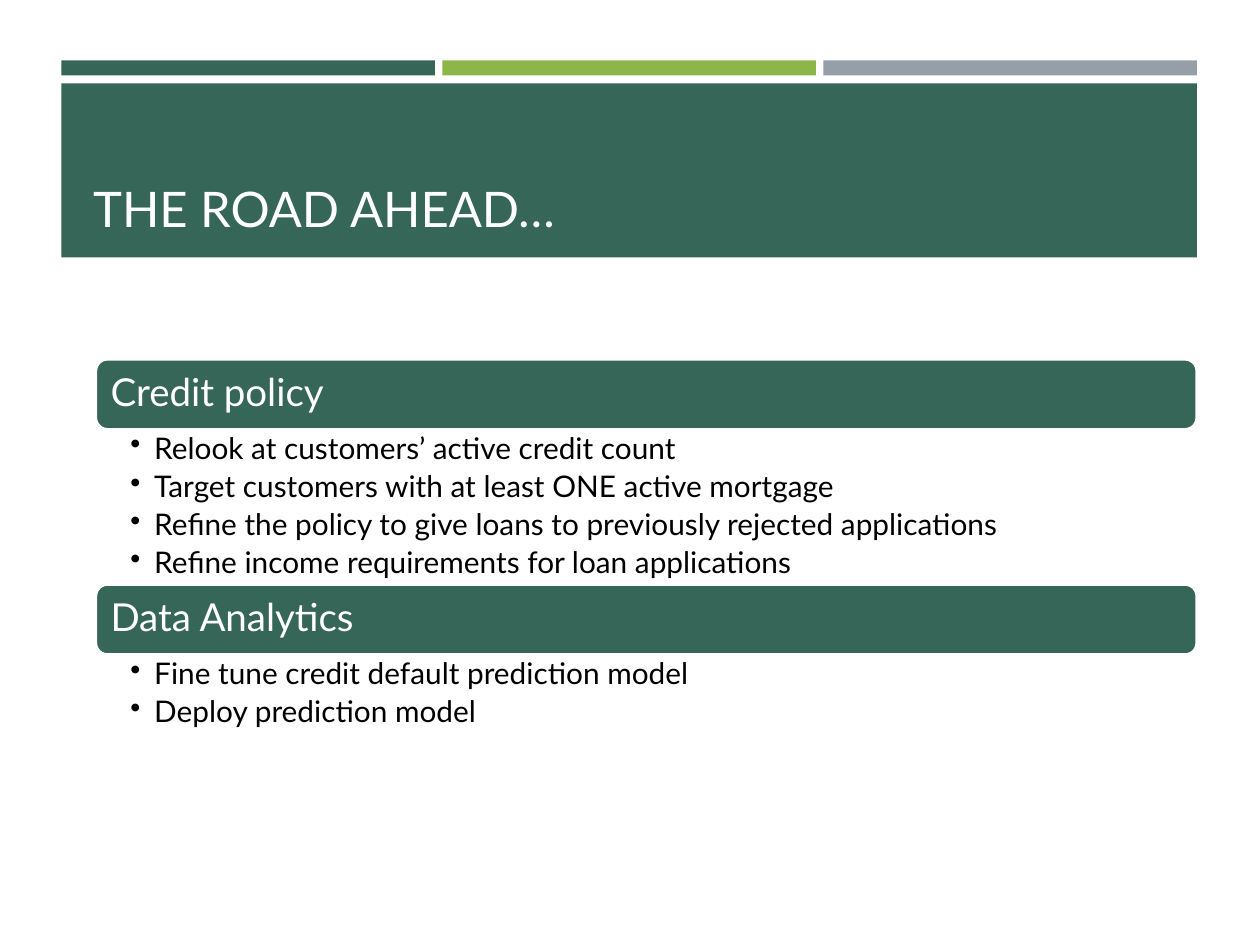
import pptx
import pptx.util
import pptx.dml.color
import pptx.enum.shapes
import pptx.enum.text
import pptx.oxml.ns
from lxml import etree
from pptx.util import Cm

GREEN = pptx.dml.color.RGBColor(0x36, 0x66, 0x58)
LIME = pptx.dml.color.RGBColor(0x8C, 0xB6, 0x4A)
GREY = pptx.dml.color.RGBColor(0x96, 0x9F, 0xA7)
WHITE = pptx.dml.color.RGBColor(0xFF, 0xFF, 0xFF)
BLACK = pptx.dml.color.RGBColor(0, 0, 0)
FONT = "Lato"
LEFT, BAR_WIDTH, BAR_PITCH = 1.24, 7.53, 7.68
SECTION_LEFT, SECTION_WIDTH, HEADING_HEIGHT = 1.93, 22.2, 1.42
SECTIONS = [
    (7.24, 3.1, "Credit policy", [
        "Relook at customers’ active credit count",
        "Target customers with at least ONE active mortgage",
        "Refine the policy to give loans to previously rejected applications",
        "Refine income requirements for loan applications",
    ]),
    (11.78, 1.55, "Data Analytics", [
        "Fine tune credit default prediction model",
        "Deploy prediction model",
    ]),
]


def add_block(slide, kind, left, top, width, height, color):
    shape = slide.shapes.add_shape(kind, Cm(left), Cm(top), Cm(width), Cm(height))
    shape.shadow.inherit = False
    shape.fill.solid()
    shape.fill.fore_color.rgb = color
    shape.line.fill.background()
    return shape


def set_frame(text_frame, anchor, left, top, right, bottom):
    text_frame.word_wrap = True
    text_frame.vertical_anchor = anchor
    text_frame.margin_left, text_frame.margin_top = Cm(left), Cm(top)
    text_frame.margin_right, text_frame.margin_bottom = Cm(right), Cm(bottom)


def format_paragraph(paragraph, size, color, line_spacing=0.9):
    paragraph.alignment = pptx.enum.text.PP_ALIGN.LEFT
    paragraph.line_spacing = line_spacing
    for run in paragraph.runs:
        run.font.name = FONT
        run.font.size = pptx.util.Pt(size)
        run.font.color.rgb = color


def add_bullet(paragraph):
    properties = paragraph._p.get_or_add_pPr()
    properties.set("marL", str(Cm(0.48)))
    properties.set("indent", str(-Cm(0.48)))
    bullet = etree.SubElement(properties, pptx.oxml.ns.qn("a:buChar"))
    bullet.set("char", "•")


def add_banner(slide):
    rectangle = pptx.enum.shapes.MSO_SHAPE.RECTANGLE
    for index, color in enumerate((GREEN, LIME, GREY)):
        add_block(slide, rectangle, LEFT + index * BAR_PITCH, 1.22, BAR_WIDTH, 0.3, color)
    add_block(slide, rectangle, LEFT, 1.68, 22.89, 3.51, GREEN)
    title = slide.shapes.add_textbox(Cm(1.63), Cm(1.91), Cm(22.2), Cm(3))
    set_frame(title.text_frame, pptx.enum.text.MSO_ANCHOR.BOTTOM, 0.25, 0.13, 0.25, 0.13)
    title.text_frame.text = "THE ROAD AHEAD…"
    format_paragraph(title.text_frame.paragraphs[0], 28, WHITE, 1.0)


def add_section(slide, top, body_height, heading, items):
    bar = add_block(slide, pptx.enum.shapes.MSO_SHAPE.ROUNDED_RECTANGLE,
                    SECTION_LEFT, top, SECTION_WIDTH, HEADING_HEIGHT, GREEN)
    bar.line.color.rgb = WHITE
    bar.line.width = pptx.util.Pt(1.75)
    set_frame(bar.text_frame, pptx.enum.text.MSO_ANCHOR.MIDDLE, 0.23, 0.23, 0.23, 0.23)
    bar.text_frame.text = heading
    format_paragraph(bar.text_frame.paragraphs[0], 22, WHITE)

    body = slide.shapes.add_textbox(Cm(SECTION_LEFT), Cm(top + HEADING_HEIGHT),
                                    Cm(SECTION_WIDTH), Cm(body_height))
    set_frame(body.text_frame, pptx.enum.text.MSO_ANCHOR.TOP, 0.7, 0.08, 0.43, 0.08)
    body.text_frame.text = "\n".join(items)
    for paragraph in body.text_frame.paragraphs:
        format_paragraph(paragraph, 17, BLACK)
        paragraph.space_after = pptx.util.Pt(3.5)
        add_bullet(paragraph)


def main():
    """Build the slide on the road ahead for credit policy and data analytics."""
    presentation = pptx.Presentation()
    presentation.slide_width, presentation.slide_height = Cm(25.4), Cm(19.05)
    slide = presentation.slides.add_slide(presentation.slide_layouts[6])
    add_banner(slide)
    for section in SECTIONS:
        add_section(slide, *section)
    presentation.save("out.pptx")


main()
